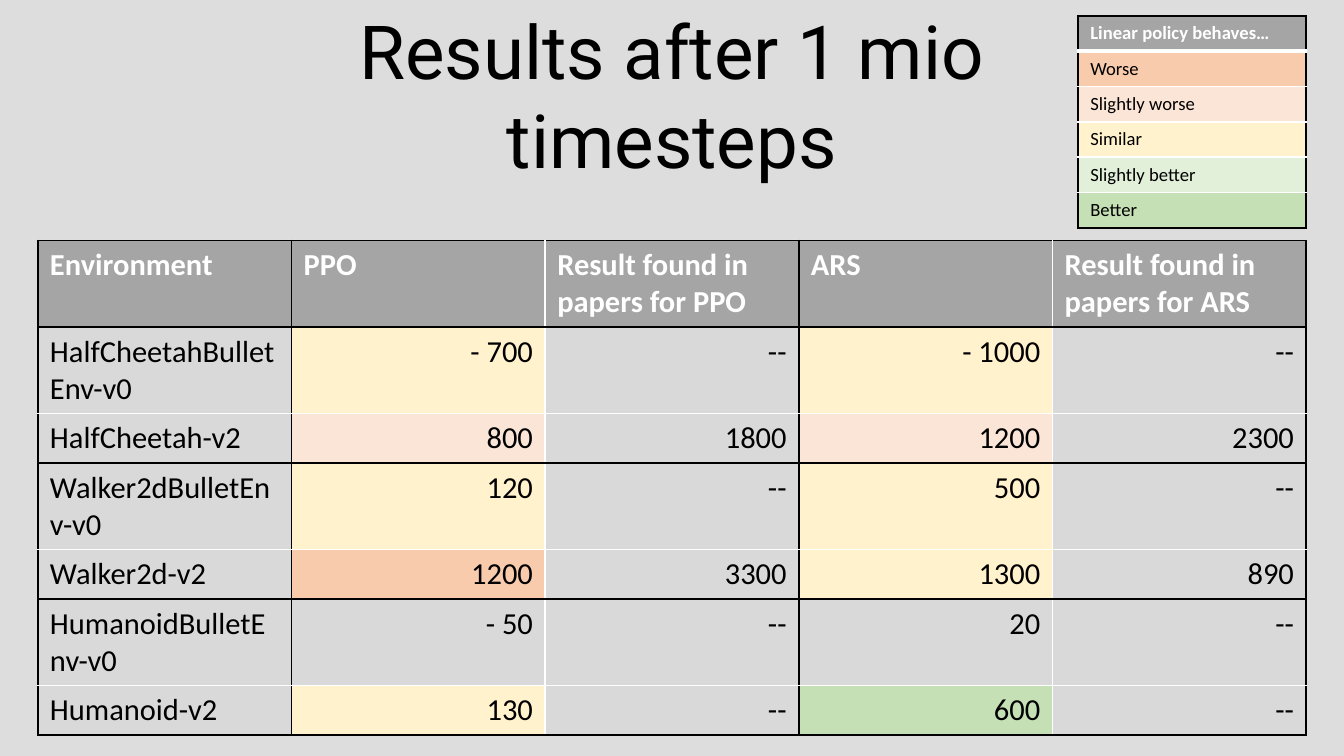
from dataclasses import dataclass
from typing import Callable

import pptx
import pptx.dml.color
import pptx.enum.text
import pptx.oxml
import pptx.oxml.ns
import pptx.slide
import pptx.table
import pptx.util

Inches = pptx.util.Inches
Align = pptx.enum.text.PP_ALIGN

BLACK, WHITE = "000000", "FFFFFF"
HEAD, PLAIN = "A5A5A5", "D9D9D9"
WORSE, LESS, SAME, MORE, BEST = "F8CBAD", "FBE5D6", "FFF2CC", "E2F0D9", "C5E0B4"


@dataclass
class Cell:
    text: str
    fill: str = PLAIN


@dataclass
class Edge:
    color: str
    width: float = 1


@dataclass
class Grid:
    left: float
    top: float
    width: float
    heights: list[float]
    size: float
    rows: list[list[Cell]]
    rule: Callable[[int], Edge]


def rgb(code: str) -> pptx.dml.color.RGBColor:
    return pptx.dml.color.RGBColor.from_string(code)


def add_run(para, text: str, font: str, size: float, color: str, bold: bool = False) -> None:
    run = para.add_run()
    run.text = text
    run.font.name = font
    run.font.size = pptx.util.Pt(size)
    run.font.bold = bold
    run.font.color.rgb = rgb(color)


def stripe(index: int) -> Edge:
    """Pick the edge of a grid whose inner lines alternate black and white."""
    return Edge(WHITE if index and index % 2 == 0 else BLACK)


def key_rule(index: int) -> Edge:
    """Pick a horizontal edge of the legend."""
    if index == 1:
        return Edge(WHITE, 3)
    return Edge(WHITE if 1 < index < 6 else BLACK)


def add_edge(cell: pptx.table._Cell, side: str, edge: Edge) -> None:
    cell._tc.get_or_add_tcPr().append(pptx.oxml.parse_xml(
        f'<a:ln{side} {pptx.oxml.ns.nsdecls("a")} w="{pptx.util.Pt(edge.width)}">'
        f'<a:solidFill><a:srgbClr val="{edge.color}"/></a:solidFill></a:ln{side}>'))


def add_grid(slide: pptx.slide.Slide, grid: Grid) -> None:
    cols = len(grid.rows[0])
    table = slide.shapes.add_table(
        len(grid.rows), cols, Inches(grid.left), Inches(grid.top),
        Inches(grid.width * cols), Inches(sum(grid.heights))).table
    for col in table.columns:
        col.width = Inches(grid.width)
    for r, row in enumerate(grid.rows):
        table.rows[r].height = Inches(grid.heights[r])
        for c, item in enumerate(row):
            cell = table.cell(r, c)
            edges = {"L": stripe(c), "R": stripe(c + 1),
                     "T": grid.rule(r), "B": grid.rule(r + 1)}
            for side, edge in edges.items():
                add_edge(cell, side, edge)
            cell.fill.solid()
            cell.fill.fore_color.rgb = rgb(item.fill)
            para = cell.text_frame.paragraphs[0]
            para.alignment = Align.RIGHT if r and c else Align.LEFT
            add_run(para, item.text, "Calibri", grid.size, BLACK if r else WHITE, r == 0)


def add_title(slide: pptx.slide.Slide, lines: list[str]) -> None:
    title = slide.shapes.title
    title.left, title.top = Inches(0.55), Inches(0.25)
    title.width, title.height = Inches(9.92), Inches(1.04)
    frame = title.text_frame
    frame.word_wrap = True
    frame.auto_size = pptx.enum.text.MSO_AUTO_SIZE.NONE
    frame.vertical_anchor = pptx.enum.text.MSO_ANCHOR.MIDDLE
    frame.margin_left = frame.margin_right = frame.margin_top = frame.margin_bottom = 0
    para = frame.paragraphs[0]
    para.alignment = Align.CENTER
    for i, line in enumerate(lines):
        if i:
            para.add_line_break()
        add_run(para, line, "Roboto", 44, BLACK)


RESULTS = Grid(0.31, 1.97, 2.08, [0.71] + [0.71, 0.4] * 3, 18, [
    [Cell(name, HEAD) for name in (
        "Environment", "PPO", "Result found in papers for PPO",
        "ARS", "Result found in papers for ARS")],
    [Cell("HalfCheetahBulletEnv-v0"), Cell("- 700", SAME), Cell("--"),
     Cell("- 1000", SAME), Cell("--")],
    [Cell("HalfCheetah-v2"), Cell("800", LESS), Cell("1800"),
     Cell("1200", LESS), Cell("2300")],
    [Cell("Walker2dBulletEnv-v0"), Cell("120", SAME), Cell("--"),
     Cell("500", SAME), Cell("--")],
    [Cell("Walker2d-v2"), Cell("1200", WORSE), Cell("3300"),
     Cell("1300", SAME), Cell("890")],
    [Cell("HumanoidBulletEnv-v0"), Cell("- 50"), Cell("--"), Cell("20"), Cell("--")],
    [Cell("Humanoid-v2"), Cell("130", SAME), Cell("--"),
     Cell("600", BEST), Cell("--")],
], stripe)

LEGEND = Grid(8.84, 0.13, 1.87, [0.29] * 6, 11, [
    [Cell("Linear policy behaves…", HEAD)],
    [Cell("Worse", WORSE)],
    [Cell("Slightly worse", LESS)],
    [Cell("Similar", SAME)],
    [Cell("Slightly better", MORE)],
    [Cell("Better", BEST)],
], key_rule)


def main() -> None:
    deck = pptx.Presentation()
    deck.slide_width, deck.slide_height = Inches(11.02), Inches(6.2)
    slide = deck.slides.add_slide(deck.slide_layouts[5])
    slide.background.fill.solid()
    slide.background.fill.fore_color.rgb = rgb("DDDDDD")
    add_title(slide, ["Results after 1 mio", "timesteps"])
    for grid in (RESULTS, LEGEND):
        add_grid(slide, grid)
    deck.save("out.pptx")


if __name__ == "__main__":
    main()
